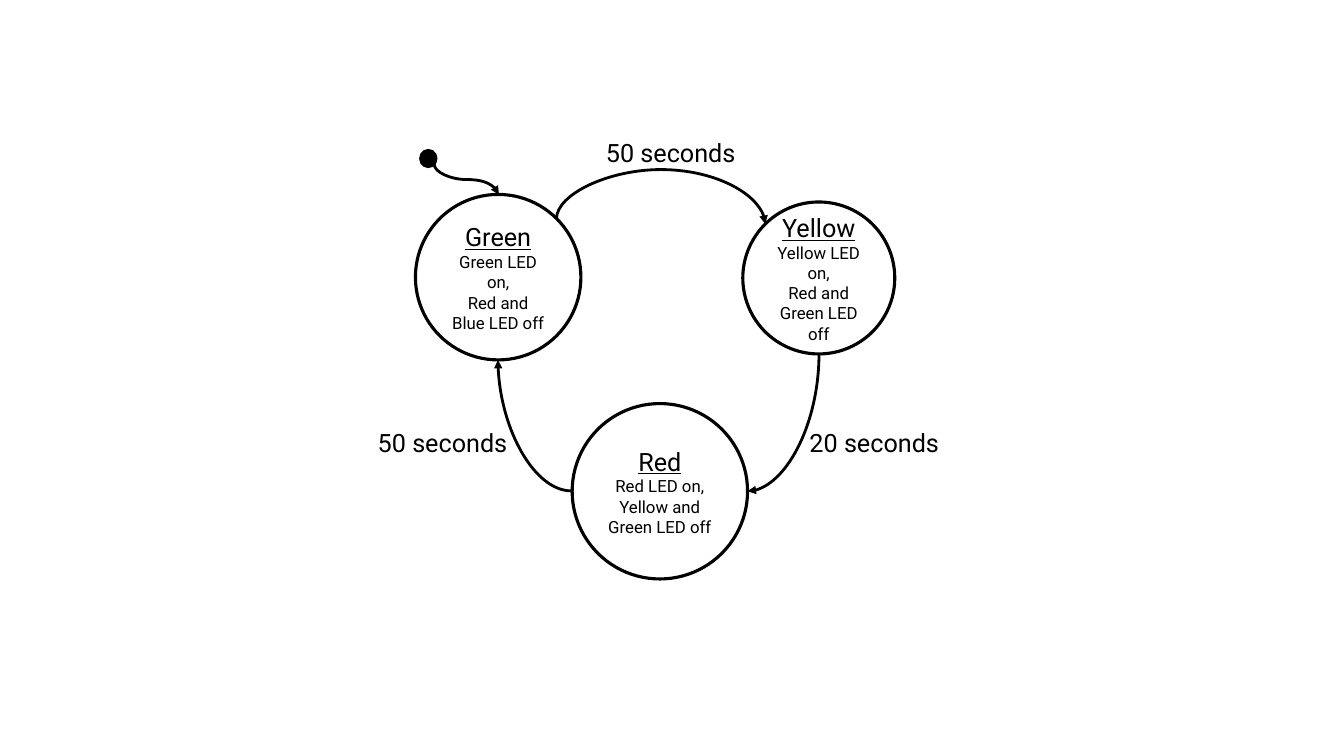
"""Draw a traffic light state diagram with timed transitions."""
from lxml.etree import SubElement
from pptx import Presentation
from pptx.dml.color import RGBColor
from pptx.enum.shapes import MSO_CONNECTOR, MSO_SHAPE
from pptx.enum.text import MSO_ANCHOR, PP_ALIGN
from pptx.oxml.ns import qn
from pptx.util import Cm, Pt

BLACK, WHITE = "000000", "FFFFFF"


def paint(color, value):
    color.rgb = RGBColor.from_string(value)


def circle(left, top, width, height, fill, weight):
    shape = slide.shapes.add_shape(
        MSO_SHAPE.OVAL, Cm(left), Cm(top), Cm(width), Cm(height))
    shape.shadow.inherit = False
    shape.fill.solid()
    paint(shape.fill.fore_color, fill)
    paint(shape.line.color, BLACK)
    shape.line.width = Pt(weight)
    return shape


deck = Presentation()
deck.slide_width, deck.slide_height = Cm(33.87), Cm(19.05)
slide = deck.slides.add_slide(deck.slide_layouts[6])

states = [
    (10.47, 4.9, 4.17, ["Green", "Green LED on,", "Red and Blue LED off"]),
    (18.72, 5.09, 3.83, ["Yellow", "Yellow LED on,", "Red and Green LED off"]),
    (14.42, 10.17, 4.42, ["Red", "Red LED on,", "Yellow and Green LED off"]),
]
for left, top, size, lines in states:
    state = circle(left, top, size, size, WHITE, 2.25)
    frame = state.text_frame
    frame.word_wrap = True
    frame.vertical_anchor = MSO_ANCHOR.MIDDLE
    for row, line in enumerate(lines):
        para = frame.add_paragraph() if row else frame.paragraphs[0]
        para.text = line
        para.alignment = PP_ALIGN.CENTER
        para.font.name = "Roboto"
        para.font.size = Pt(12 if row else 18)
        para.font.underline = row == 0
        paint(para.font.color, BLACK)

circle(10.59, 3.78, 0.41, 0.43, BLACK, 1.5)

curves = [
    (11.38, 3.71, 0.76, 1.63, 270, True, 3, 50000),
    (16.59, 2.95, 0.13, 5.26, 270, True, 3, -955000),
    (18, 9.74, 3.48, 1.8, 90, False, 2, None),
    (12.55, 9.07, 1.85, 3.3, 180, False, 2, None),
]
for left, top, width, height, turn, flip, kind, bend in curves:
    curve = slide.shapes.add_connector(
        MSO_CONNECTOR.CURVE, Cm(left), Cm(top), Cm(left + width), Cm(top + height))
    paint(curve.line.color, BLACK)
    curve.line.width = Pt(2)
    props = curve._element.spPr
    frame = props.find(qn("a:xfrm"))
    frame.set("rot", str(turn * 60000))
    if flip:
        frame.set("flipH", "1")
    geom = props.find(qn("a:prstGeom"))
    geom.set("prst", f"curvedConnector{kind}")
    if bend is not None:
        SubElement(geom.find(qn("a:avLst")), qn("a:gd"), name="adj1", fmla=f"val {bend}")
    SubElement(props.find(qn("a:ln")), qn("a:tailEnd"), type="triangle")
    SubElement(props, qn("a:effectLst"))

labels = [
    (15.02, 3.33, "50 seconds"),
    (20.15, 10.64, "20 seconds"),
    (9.27, 10.64, "50 seconds"),
]
for left, top, words in labels:
    label = slide.shapes.add_textbox(Cm(left), Cm(top), Cm(3.84), Cm(1.02))
    label.text_frame.word_wrap = True
    para = label.text_frame.paragraphs[0]
    para.text = words
    para.font.name = "Roboto"
    para.font.size = Pt(18)
    paint(para.font.color, BLACK)

deck.save("out.pptx")
